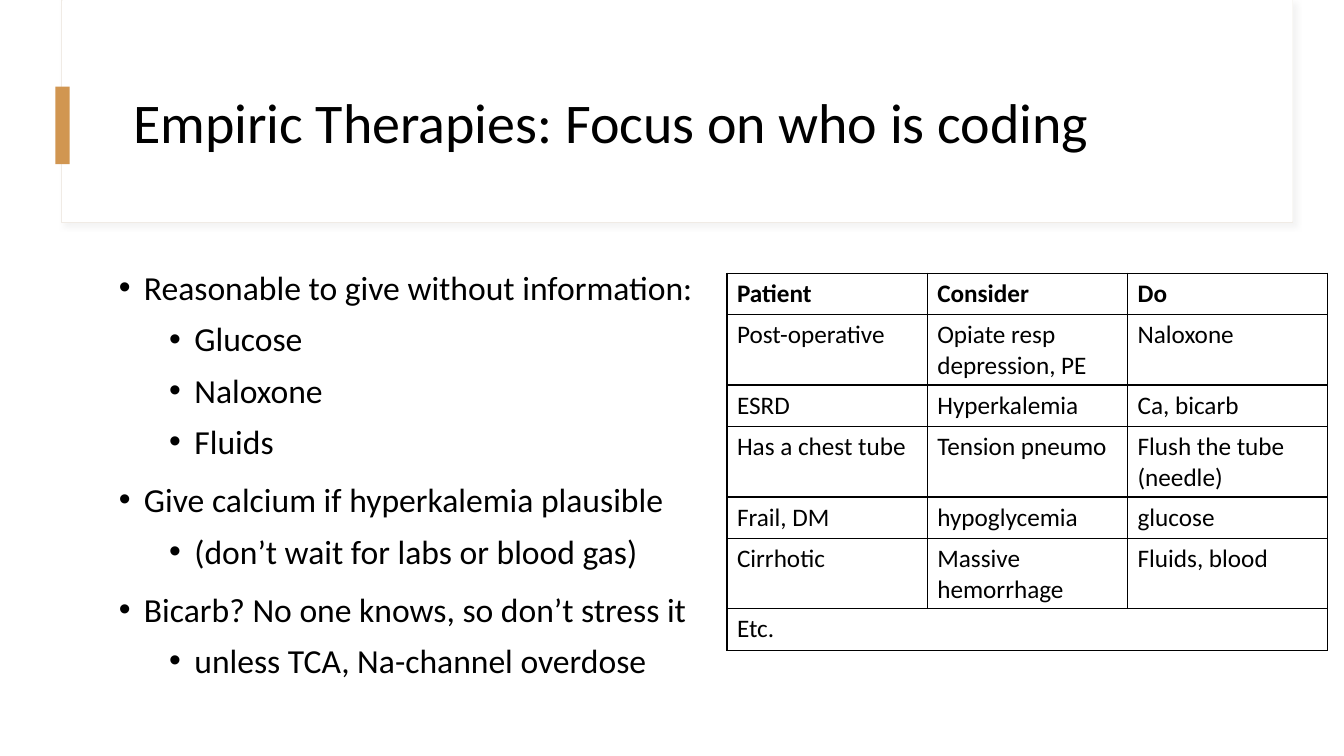
"""Build the slide on empiric therapies during a code."""
from lxml.etree import SubElement
from pptx import Presentation
from pptx.dml.color import RGBColor
from pptx.enum.shapes import MSO_SHAPE
from pptx.enum.text import MSO_ANCHOR, PP_ALIGN
from pptx.oxml import parse_xml
from pptx.oxml.ns import nsdecls, qn
from pptx.util import Inches, Pt

BLACK = RGBColor(0x00, 0x00, 0x00)
WHITE = RGBColor(0xFF, 0xFF, 0xFF)
CREAM = RGBColor(0xF0, 0xEB, 0xE5)
AMBER = RGBColor(0xD1, 0x96, 0x51)


def style(para, size, bold=False):
    for run in para.runs:
        run.font.name = "Calibri"
        run.font.size = Pt(size)
        run.font.bold = bold
        run.font.color.rgb = BLACK


def add_rect(box, color):
    rect = slide.shapes.add_shape(MSO_SHAPE.RECTANGLE, *map(Inches, box))
    rect.shadow.inherit = False
    rect.fill.solid()
    rect.fill.fore_color.rgb = color
    rect.line.fill.background()
    return rect


prs = Presentation()
prs.slide_width, prs.slide_height = Inches(13.33), Inches(7.5)
slide = prs.slides.add_slide(prs.slide_layouts[5])

frame = add_rect((0.61, 0, 12.21, 2.21), WHITE)
frame.line.color.rgb = CREAM
frame.line.width = Pt(0.75)
glow = frame.element.spPr.find(qn("a:effectLst"))
glow.append(parse_xml(
    f'<a:outerShdw {nsdecls("a")} blurRad="50800" dist="38100" dir="2700000">'
    '<a:srgbClr val="D9D9D9"><a:alpha val="30000"/></a:srgbClr></a:outerShdw>'))
add_rect((0.62, 0, 12.2, 2.2), WHITE)
add_rect((0.55, 0.86, 0.14, 0.77), AMBER)

title = slide.shapes.title
title.left, title.top = Inches(1.22), Inches(0.6)
title.width, title.height = Inches(11.12), Inches(1.29)
title.text_frame.text = "Empiric Therapies: Focus on who is coding"
title.text_frame.vertical_anchor = MSO_ANCHOR.MIDDLE
head = title.text_frame.paragraphs[0]
head.alignment = PP_ALIGN.LEFT
head.line_spacing = 0.9
style(head, 40)
slide.shapes.element.append(title.element)

points = [
    (0, "Reasonable to give without information:"),
    (1, "Glucose"),
    (1, "Naloxone"),
    (1, "Fluids"),
    (0, "Give calcium if hyperkalemia plausible"),
    (1, "(don’t wait for labs or blood gas)"),
    (0, "Bicarb? No one knows, so don’t stress it"),
    (1, "unless TCA, Na-channel overdose"),
]
body = slide.shapes.add_textbox(
    Inches(1.08), Inches(2.56), Inches(5.96), Inches(4.04)).text_frame
body.word_wrap = True
body.text = "\n".join(text for level, text in points)
for para, (level, text) in zip(body.paragraphs, points):
    para.level = level
    para.line_spacing = 1.1
    para.space_before = Pt(5 if level else 10)
    style(para, 24)
    props = para._p.get_or_add_pPr()
    props.set("marL", str(Inches(0.25 + 0.5 * level)))
    props.set("indent", str(Inches(-0.25)))
    SubElement(props, qn("a:buFont"), typeface="Arial")
    SubElement(props, qn("a:buChar"), char="•")

rows = [
    ("Patient", "Consider", "Do"),
    ("Post-operative", "Opiate resp depression, PE", "Naloxone"),
    ("ESRD", "Hyperkalemia", "Ca, bicarb"),
    ("Has a chest tube", "Tension pneumo", "Flush the tube (needle)"),
    ("Frail, DM", "hypoglycemia", "glucose"),
    ("Cirrhotic", "Massive hemorrhage", "Fluids, blood"),
    ("Etc.", "", ""),
]
table = slide.shapes.add_table(
    len(rows), 3, Inches(7.21), Inches(2.71), Inches(5.96), Inches(2.85)).table
table.first_row = table.horz_banding = False
for r, row in enumerate(rows):
    table.rows[r].height = Inches(0.41)
    for c, text in enumerate(row):
        cell = table.cell(r, c)
        cell.text_frame.text = text
        style(cell.text_frame.paragraphs[0], 18, bold=r == 0)
        cell.fill.background()
        props = cell._tc.get_or_add_tcPr()
        for i, side in enumerate(("lnL", "lnR", "lnT", "lnB")):
            props.insert(i, parse_xml(
                f'<a:{side} {nsdecls("a")} w="12700"><a:solidFill>'
                f'<a:srgbClr val="{BLACK}"/></a:solidFill></a:{side}>'))
table.cell(6, 0).merge(table.cell(6, 2))

prs.save("out.pptx")
